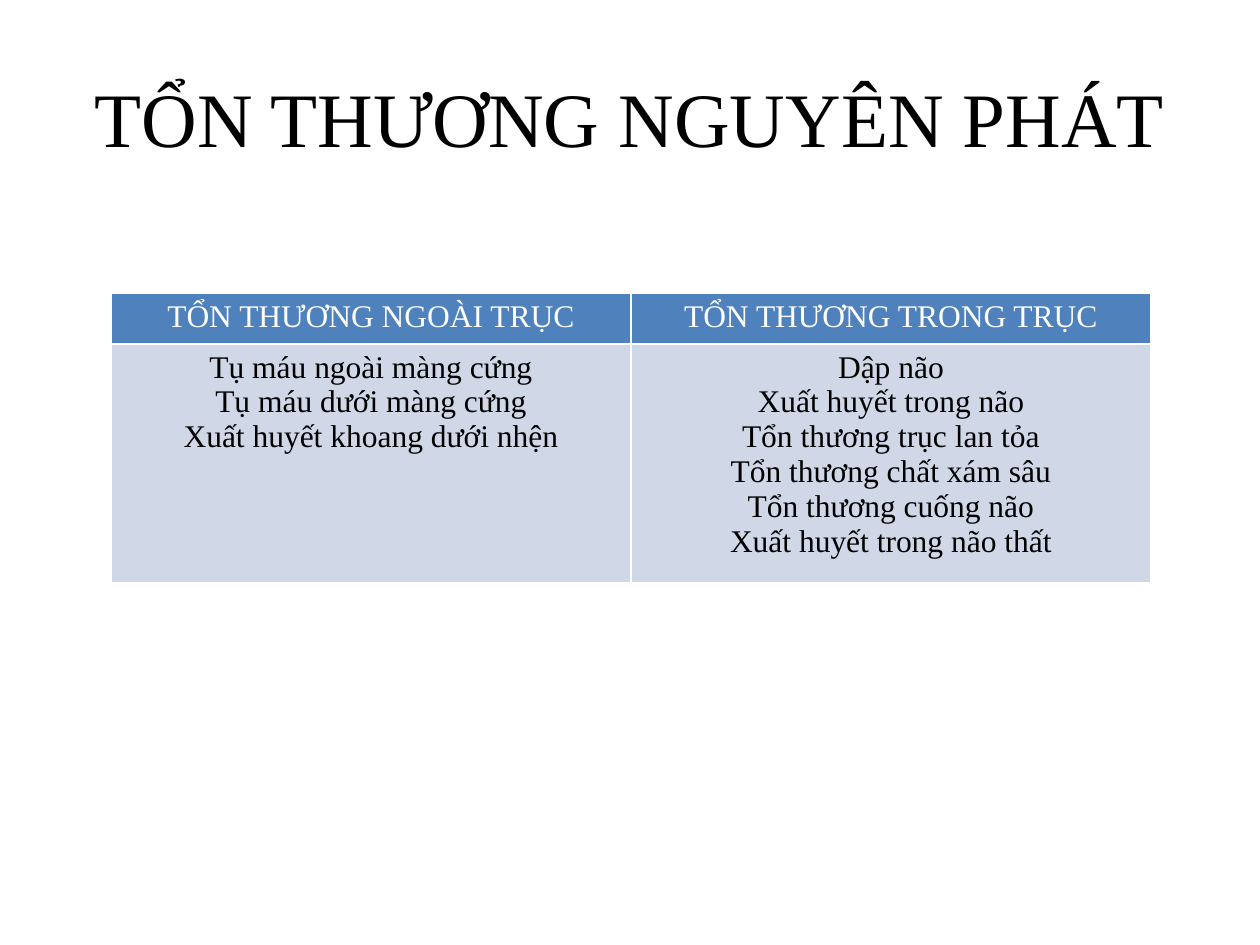
import dataclasses

import pptx
import pptx.dml.color
import pptx.enum.text
import pptx.oxml
import pptx.oxml.ns
import pptx.util


@dataclasses.dataclass(frozen=True)
class Theme:
    font: str = "Times New Roman"
    title_size: int = 44
    table_size: int = 18
    ink: str = "000000"
    paper: str = "FFFFFF"
    header_fill: str = "4F81BD"
    body_fill: str = "D0D8E8"
    border_width: int = 1


def px(length):
    return pptx.util.Emu(round(length * 914400 / 126))


def apply_format(target, values):
    for attribute, value in values.items():
        setattr(target, attribute, value)


class SlideBuilder:
    def __init__(self, slide, theme):
        self.slide = slide
        self.theme = theme

    def centred_lines(self, frame, lines, size, color):
        frame.text = "\n".join(lines)
        for paragraph in frame.paragraphs:
            paragraph.alignment = pptx.enum.text.PP_ALIGN.CENTER
            for run in paragraph.runs:
                apply_format(run.font, {"name": self.theme.font, "size": pptx.util.Pt(size), "bold": False})
                run.font.color.rgb = pptx.dml.color.RGBColor.from_string(color)

    def title(self, text, left, top, width, height):
        heading = self.slide.shapes.add_textbox(*map(px, (left, top, width, height)))
        apply_format(heading.text_frame, {
            "word_wrap": True,
            "vertical_anchor": pptx.enum.text.MSO_ANCHOR.MIDDLE,
        })
        self.centred_lines(heading.text_frame, [text], self.theme.title_size, self.theme.ink)

    def border(self, cell):
        properties = cell._tc.get_or_add_tcPr()
        for position, side in enumerate(("lnL", "lnR", "lnT", "lnB")):
            edge = pptx.oxml.parse_xml(
                f'<a:{side} {pptx.oxml.ns.nsdecls("a")} w="{pptx.util.Pt(self.theme.border_width)}">'
                f'<a:solidFill><a:srgbClr val="{self.theme.paper}"/></a:solidFill></a:{side}>'
            )
            properties.insert(position, edge)

    def cell(self, cell, lines, fill, color):
        apply_format(cell, {
            "margin_left": px(9), "margin_right": px(9),
            "margin_top": px(6), "margin_bottom": px(6),
        })
        cell.fill.solid()
        cell.fill.fore_color.rgb = pptx.dml.color.RGBColor.from_string(fill)
        self.border(cell)
        self.centred_lines(cell.text_frame, lines, self.theme.table_size, color)

    def table(self, columns, left, top, width, row_heights):
        bounds = map(px, (left, top, width, sum(row_heights)))
        grid = self.slide.shapes.add_table(len(row_heights), len(columns), *bounds).table
        for row, height in zip(grid.rows, row_heights):
            row.height = px(height)
        for index, (category, lesions) in enumerate(columns.items()):
            grid.columns[index].width = px(width // len(columns))
            self.cell(grid.cell(0, index), [category], self.theme.header_fill, self.theme.paper)
            self.cell(grid.cell(1, index), lesions, self.theme.body_fill, self.theme.ink)


def main():
    lesions_by_site = {
        "TỔN THƯƠNG NGOÀI TRỤC": [
            "Tụ máu ngoài màng cứng",
            "Tụ máu dưới màng cứng",
            "Xuất huyết khoang dưới nhện",
        ],
        "TỔN THƯƠNG TRONG TRỤC": [
            "Dập não",
            "Xuất huyết trong não",
            "Tổn thương trục lan tỏa",
            "Tổn thương chất xám sâu",
            "Tổn thương cuống não",
            "Xuất huyết trong não thất",
        ],
    }
    deck = pptx.Presentation()
    apply_format(deck, {"slide_width": px(1260), "slide_height": px(945)})
    builder = SlideBuilder(deck.slides.add_slide(deck.slide_layouts[6]), Theme())
    builder.title("TỔN THƯƠNG NGUYÊN PHÁT", 63, 38, 1134, 158)
    builder.table(lesions_by_site, 111, 293, 1040, (51, 220))
    deck.save("out.pptx")


if __name__ == "__main__":
    main()
